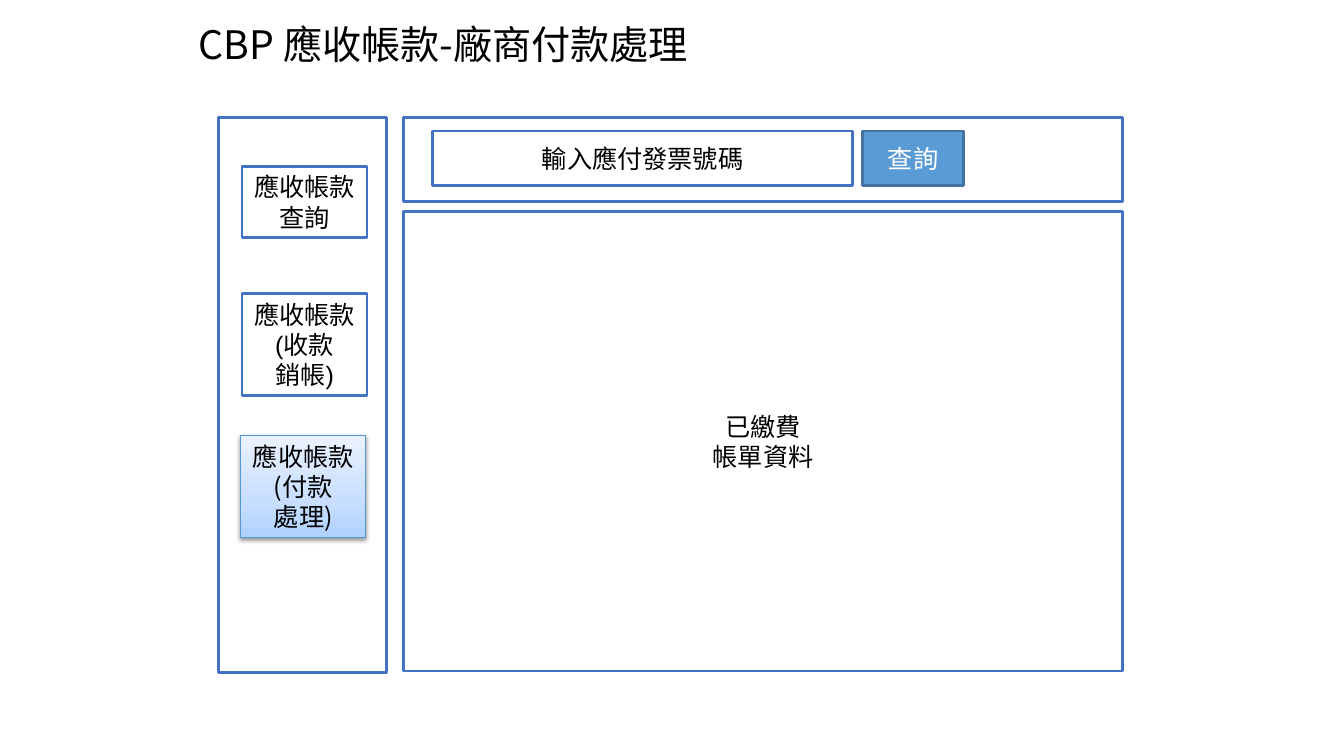
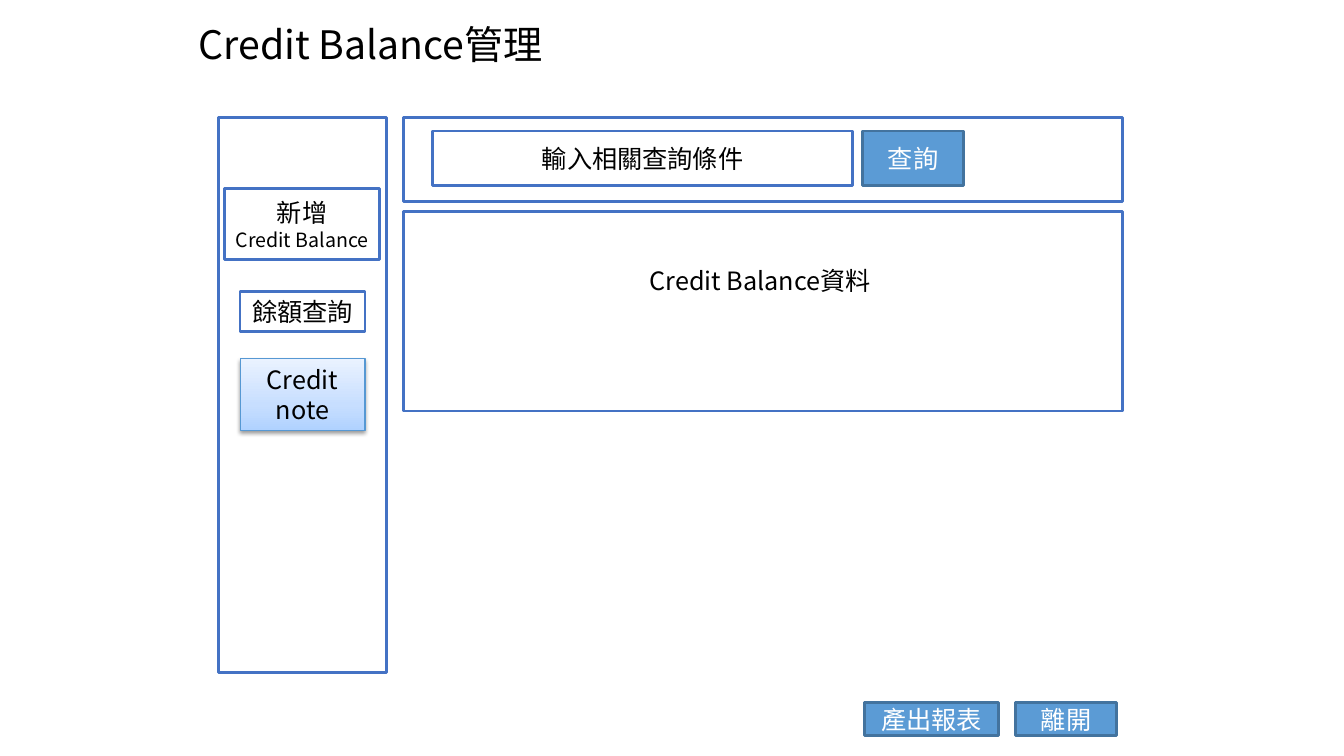
from dataclasses import dataclass

import lxml.etree
import pptx
import pptx.dml.color
import pptx.enum.shapes
import pptx.enum.text
import pptx.oxml
import pptx.oxml.ns
import pptx.util

Cm = pptx.util.Cm
Pt = pptx.util.Pt
qn = pptx.oxml.ns.qn

NOTO, CALIBRI, ARIAL = "Noto Sans CJK SC", "Calibri", "Arial"
BLACK, WHITE, OUTLINE = "000000", "FFFFFF", "4472C4"
GRADIENT = ((0, "B0D2FF"), (35, "C7DEFF"), (100, "EAF2FF"))


@dataclass(frozen=True)
class Look:
    fill: str | None = WHITE
    line: str = OUTLINE
    width: float = 2
    text: str = BLACK
    raised: bool = False


PANEL = Look()
BUTTON = Look(fill="5B9BD5", line="43739E", text=WHITE)
SELECTED = Look(line="5698D3", width=0.75, raised=True)
LABEL = Look(fill=None)


@dataclass(frozen=True)
class Line:
    text: str
    size: int = 18


@dataclass(frozen=True)
class Box:
    left: float
    top: float
    width: float
    height: float
    lines: tuple[Line, ...] = ()
    look: Look = PANEL
    font: str = NOTO


@dataclass(frozen=True)
class Page:
    title: str
    query: str
    query_font: str
    button_font: str
    results: Box
    extras: tuple[Box, ...]


def rgb(value: str) -> pptx.dml.color.RGBColor:
    return pptx.dml.color.RGBColor.from_string(value)


def add_run(p, line: Line, font: str, color: str) -> None:
    r = p.add_run()
    r.text = line.text
    r.font.size = Pt(line.size)
    r.font.color.rgb = rgb(color)
    r.font.name = font
    east_asian = lxml.etree.SubElement(r.font._element, qn("a:ea"))
    east_asian.set("typeface", NOTO)


def raise_box(s) -> None:
    """Give a shape the light blue gradient and soft shadow of the selected menu item."""
    s.fill.gradient()
    s.fill.gradient_angle = 90
    stops = s._element.spPr.find(".//" + qn("a:gsLst"))
    for stop in list(stops):
        stops.remove(stop)
    for percent, color in GRADIENT:
        stop = lxml.etree.SubElement(stops, qn("a:gs"), pos=str(percent * 1000))
        lxml.etree.SubElement(stop, qn("a:srgbClr"), val=color)
    effects = s._element.spPr.find(qn("a:effectLst"))
    shadow = lxml.etree.SubElement(
        effects, qn("a:outerShdw"), blurRad=str(Pt(3.1)), dist=str(Pt(1.6)),
        dir="5400000", rotWithShape="0")
    shade = lxml.etree.SubElement(shadow, qn("a:srgbClr"), val=BLACK)
    lxml.etree.SubElement(shade, qn("a:alpha"), val="38000")


def add_box(slide, box: Box) -> None:
    place = [Cm(n) for n in (box.left, box.top, box.width, box.height)]
    look = box.look
    if look.fill is None:
        s = slide.shapes.add_textbox(*place)
    else:
        s = slide.shapes.add_shape(pptx.enum.shapes.MSO_SHAPE.RECTANGLE, *place)
        s.shadow.inherit = False
        s.line.color.rgb = rgb(look.line)
        s.line.width = Pt(look.width)
        if look.raised:
            raise_box(s)
        else:
            s.fill.solid()
            s.fill.fore_color.rgb = rgb(look.fill)
    tf = s.text_frame
    tf.word_wrap = True
    tf.vertical_anchor = pptx.enum.text.MSO_ANCHOR.MIDDLE
    for i, line in enumerate(box.lines):
        p = tf.add_paragraph() if i else tf.paragraphs[0]
        p.alignment = pptx.enum.text.PP_ALIGN.CENTER
        add_run(p, line, box.font, look.text)


def add_title(slide, text: str) -> None:
    s = slide.shapes.title
    s.left, s.top, s.width, s.height = Cm(4.88), Cm(0.43), Cm(22.86), Cm(1.52)
    tf = s.text_frame
    tf.auto_size = pptx.enum.text.MSO_AUTO_SIZE.NONE
    tf.word_wrap = True
    tf.vertical_anchor = pptx.enum.text.MSO_ANCHOR.MIDDLE
    tf.margin_left = tf.margin_right = tf.margin_top = tf.margin_bottom = Cm(0.13)
    p = tf.paragraphs[0]
    p.alignment = pptx.enum.text.PP_ALIGN.LEFT
    p.line_spacing = 0.9
    add_run(p, Line(text, 28), NOTO, BLACK)


def add_page(prs, page: Page) -> None:
    slide = prs.slides.add_slide(prs.slide_layouts[5])
    add_title(slide, page.title)
    frame = (
        Box(5.51, 2.97, 4.24, 13.97),
        Box(10.16, 2.97, 18.14, 2.11),
        page.results,
        Box(10.9, 3.3, 10.59, 1.37, (Line(page.query),), font=page.query_font),
        Box(21.74, 3.3, 2.54, 1.37, (Line("查詢"),), BUTTON, page.button_font),
    )
    for box in frame + page.extras:
        add_box(slide, box)


PAGES = (
    Page(
        "CBP 應收帳款-廠商付款處理", "輸入應付發票號碼", ARIAL, CALIBRI,
        Box(10.16, 5.33, 18.14, 11.58, (Line("已繳費"), Line("帳單資料")), font=CALIBRI),
        (
            Box(6.1, 4.19, 3.15, 1.8, (Line("應收帳款查詢"),), font=ARIAL),
            Box(6.1, 7.39, 3.15, 2.57, (Line("應收帳款(收款"), Line("銷帳)")), font=ARIAL),
            Box(6.07, 10.97, 3.15, 2.57, (Line("應收帳款(付款"), Line("處理)")), SELECTED),
        ),
    ),
    Page(
        "Credit Balance管理", "輸入相關查詢條件", NOTO, NOTO,
        Box(10.16, 5.33, 18.14, 5.03),
        (
            Box(16.1, 6.55, 6.12, 1.02, (Line("Credit Balance資料"),), LABEL),
            Box(5.66, 4.75, 3.91, 1.8, (Line("新增"), Line("Credit Balance", 14))),
            Box(6.05, 7.34, 3.15, 1.02, (Line("餘額查詢"),)),
            Box(6.05, 9.04, 3.15, 1.8, (Line("Credit note"),), SELECTED),
            Box(21.79, 17.7, 3.38, 0.84, (Line("產出報表"),), BUTTON),
            Box(25.6, 17.7, 2.54, 0.84, (Line("離開"),), BUTTON),
        ),
    ),
)


def main() -> None:
    prs = pptx.Presentation()
    prs.slide_width, prs.slide_height = Cm(33.87), Cm(19.05)
    for page in PAGES:
        add_page(prs, page)
    prs.save("out.pptx")


if __name__ == "__main__":
    main()
